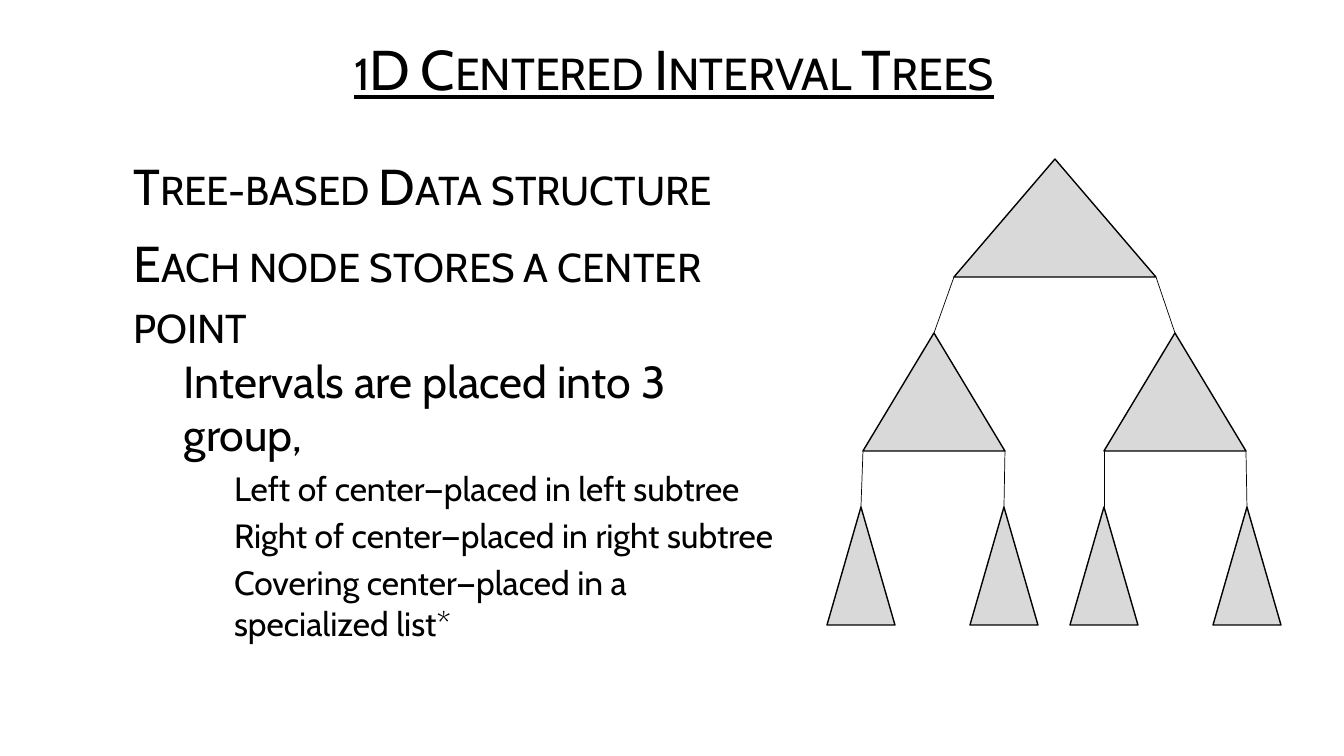
from dataclasses import dataclass

from lxml import etree
from pptx import Presentation
from pptx import util as u
from pptx.dml.color import RGBColor
from pptx.enum import shapes, text
from pptx.oxml import ns

PIXELS_PER_INCH = 100.8


@dataclass(frozen=True)
class Theme:
    """Colours, font and type sizes of the slide."""
    ink: str = "000000"
    node_fill: str = "D9D9D9"
    background: str = "FFFFFF"
    font: str = "Cabin"
    title_size: int = 40
    body_sizes: tuple = (36, 32, 24)
    body_space_before: tuple = (12, 0, 5)
    node_line: float = 1
    edge_line: float = 0.5


def px(length):
    """Turn pixels into EMU."""
    return u.Emu(round(length * 914400 / PIXELS_PER_INCH))


def colour(value):
    """Turn a hex string into a colour."""
    return RGBColor.from_string(value)


class SlideBuilder:
    """Holds the theme and the current slide."""

    def __init__(self, slide, theme):
        """Keep the slide and theme, and paint the background."""
        self.slide, self.theme = slide, theme
        fill = slide.background.fill
        fill.solid()
        fill.fore_color.rgb = colour(theme.background)

    def text_frame(self, left, top, width, height):
        """Add a wrapping, vertically centred text box."""
        box = self.slide.shapes.add_textbox(*map(px, (left, top, width, height)))
        frame = box.text_frame
        frame.word_wrap = True
        frame.vertical_anchor = text.MSO_ANCHOR.MIDDLE
        return frame

    def run(self, paragraph, words, size, small_caps=False, underline=False):
        """Add one styled run to a paragraph."""
        run = paragraph.add_run()
        run.text = words
        font = run.font
        font.name, font.size = self.theme.font, u.Pt(size)
        font.color.rgb = colour(self.theme.ink)
        if underline:
            font.underline = True
        if small_caps:
            run._r.get_or_add_rPr().set("cap", "small")

    def title(self, words, *box):
        """Add the centred, underlined title."""
        paragraph = self.text_frame(*box).paragraphs[0]
        paragraph.alignment = text.PP_ALIGN.CENTER
        paragraph.line_spacing = 0.9
        self.run(paragraph, words, self.theme.title_size, True, True)

    def outline(self, items, *box):
        """Add (level, words) items, each level indented half an inch more."""
        frame = self.text_frame(*box)
        for index, (level, words) in enumerate(items):
            paragraph = frame.add_paragraph() if index else frame.paragraphs[0]
            paragraph.level = level
            paragraph.space_before = u.Pt(self.theme.body_space_before[level])
            properties = paragraph._p.get_or_add_pPr()
            properties.set("marL", str(u.Inches(0.5 * (level + 1))))
            properties.set("indent", "0")
            self.run(paragraph, words, self.theme.body_sizes[level], level == 0)

    def node(self, apex, top, width, height):
        """Add a triangle whose tip is at (apex, top)."""
        shape = self.slide.shapes.add_shape(
            shapes.MSO_SHAPE.ISOSCELES_TRIANGLE,
            *map(px, (apex - width / 2, top, width, height)))
        shape.shadow.inherit = False
        shape.fill.solid()
        shape.fill.fore_color.rgb = colour(self.theme.node_fill)
        shape.line.color.rgb = colour(self.theme.ink)
        shape.line.width = u.Pt(self.theme.node_line)

    def edge(self, *ends):
        """Add a thin straight line between two points."""
        line = self.slide.shapes.add_connector(
            shapes.MSO_CONNECTOR.STRAIGHT, *map(px, ends))
        line.line.color.rgb = colour(self.theme.ink)
        line.line.width = u.Pt(self.theme.edge_line)
        etree.SubElement(line._element.spPr, ns.qn("a:effectLst"))

    def tree(self, levels, top, height, step):
        """Draw a binary tree from (node width, apexes) levels."""
        for depth, (width, apexes) in enumerate(levels):
            for apex in apexes:
                self.node(apex, top + depth * step, width, height)
        for depth, (_, children) in enumerate(levels[1:]):
            parent_width, parents = levels[depth]
            base = top + depth * step + height
            for index, apex in enumerate(children):
                side = 1 if index % 2 else -1
                corner = parents[index // 2] + side * parent_width / 2
                self.edge(apex, top + (depth + 1) * step, corner, base)


OUTLINE = [
    (0, "Tree-based Data structure"),
    (0, "Each node stores a center point"),
    (1, "Intervals are placed into 3 group,"),
    (2, "Left of center—placed in left subtree"),
    (2, "Right of center—placed in right subtree"),
    (2, "Covering center—placed in a specialized list*"),
]
TREE_LEVELS = [
    (202, [1055]),
    (142, [934, 1175]),
    (68, [861, 1004, 1104, 1247]),
]


def main():
    """Build and save the slide."""
    presentation = Presentation()
    presentation.slide_width, presentation.slide_height = px(1344), px(756)
    slide = presentation.slides.add_slide(presentation.slide_layouts[6])
    builder = SlideBuilder(slide, Theme())
    builder.outline(OUTLINE, 73, 133, 717, 532)
    builder.title("1D Centered Interval Trees", 178, 29, 992, 86)
    builder.tree(TREE_LEVELS, top=159, height=118, step=174)
    presentation.save("out.pptx")


main()
